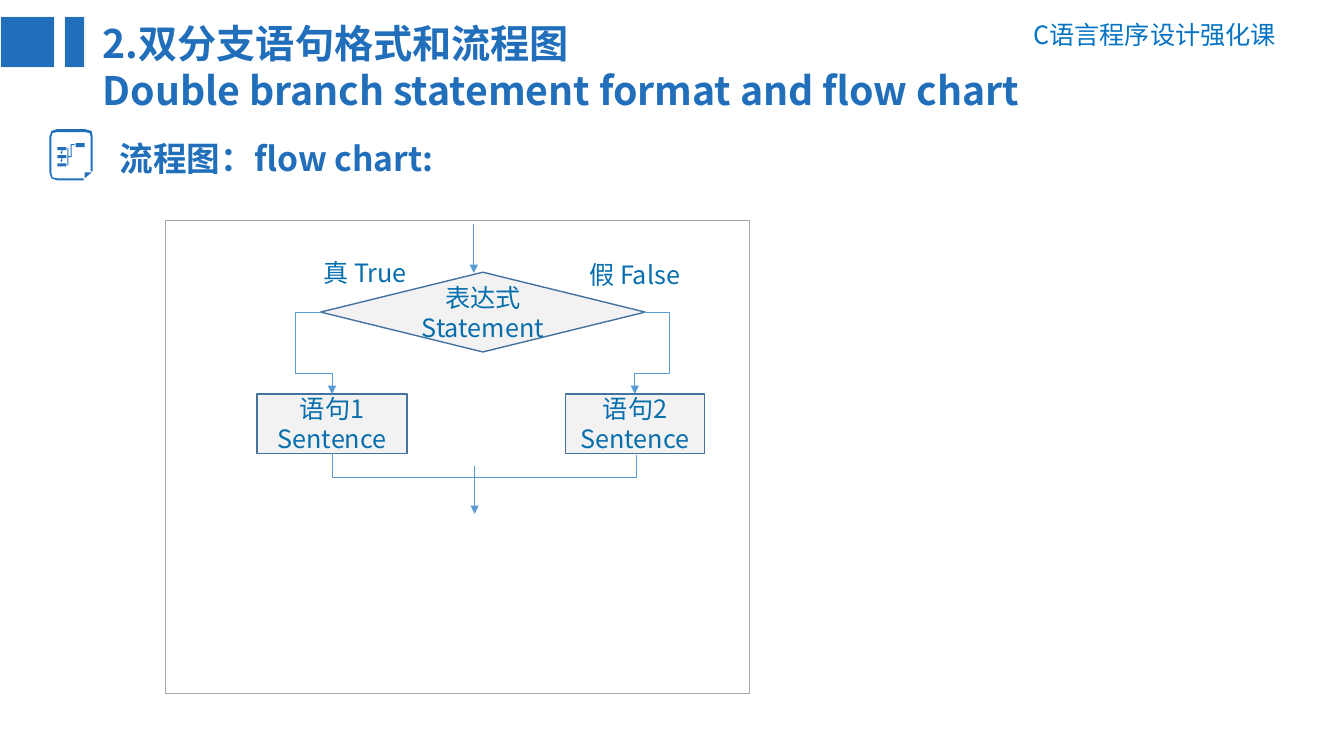
from lxml import etree
from pptx import Presentation
from pptx import util as u
from pptx.dml.color import RGBColor
from pptx.enum import shapes, text
from pptx.oxml.ns import qn

BLUE = RGBColor(0x21, 0x6F, 0xBA)
COURSE_BLUE = RGBColor(0x05, 0x73, 0xC2)
LABEL_BLUE = RGBColor(0x07, 0x6E, 0xAD)
ARROW_BLUE = RGBColor(0x5B, 0x9B, 0xD5)
OUTLINE_BLUE = RGBColor(0x43, 0x73, 0x9E)
PALE = RGBColor(0xF2, 0xF2, 0xF2)
GREY = RGBColor(0xA6, 0xA6, 0xA6)
FONT = "Noto Sans CJK SC"
SHAPE = shapes.MSO_SHAPE
ALIGN = text.PP_ALIGN

# Closed outlines of the flow chart icon, in hundredths of an inch
ICON = [
    [(84, 171), (91, 171), (84, 177)],
    [(57, 162), (66, 162), (66, 165), (57, 165)],
    *[[(57, y), (66, y), (66, y + 3), (62, y + 3), (62, y + 5), (61, y + 7),
       (60, y + 5), (61, y + 5), (61, y + 3), (57, y + 3)] for y in (154, 146)],
    [(70, 143), (74, 143), (74, 144), (71, 144), (71, 156), (68, 156), (68, 164),
     (67, 164), (67, 147), (68, 147), (68, 155), (70, 155)],
    [(75, 142), (84, 142), (84, 146), (75, 146)],
    [(57, 128), (84, 128), (90.6, 129.8), (92, 136), (92, 170), (90, 170), (90, 136),
     (88.8, 131.7), (84, 131), (57, 131), (52, 131.7), (51, 136), (51, 171),
     (52, 176), (57, 177), (83, 177), (83, 179), (57, 179), (50.6, 177.4),
     (49, 171), (49, 136), (50.6, 129.8)],
]


class FlowSlide:
    def __init__(self, slide):
        self.shapes = slide.shapes

    def set_text(self, frame, lines, size, color, bold=False, align=ALIGN.LEFT, spacing=None):
        frame.word_wrap = True
        frame.text = "\n".join(lines)
        for paragraph in frame.paragraphs:
            paragraph.alignment = align
            paragraph.line_spacing = spacing
            font = paragraph.font
            font.size, font.bold, font.name = u.Pt(size), bold, FONT
            font.color.rgb = color
            for run in paragraph.runs:
                properties = run._r.get_or_add_rPr()
                etree.SubElement(properties, qn("a:ea"), typeface=FONT)

    def label(self, box, lines, size=18, color=LABEL_BLUE, **style):
        caption = self.shapes.add_textbox(*map(u.Cm, box))
        self.set_text(caption.text_frame, lines, size, color, **style)

    def paint(self, shape, fill, line, weight):
        shape.shadow.inherit = False
        if fill is None:
            shape.fill.background()
        else:
            shape.fill.solid()
            shape.fill.fore_color.rgb = fill
        if line is None:
            shape.line.fill.background()
        else:
            shape.line.color.rgb = line
            shape.line.width = u.Pt(weight)

    def block(self, kind, box, fill, line, weight=1):
        shape = self.shapes.add_shape(kind, *map(u.Cm, box))
        self.paint(shape, fill, line, weight)
        return shape

    def node(self, kind, box, lines):
        frame = self.block(kind, box, PALE, OUTLINE_BLUE).text_frame
        frame.vertical_anchor = text.MSO_ANCHOR.MIDDLE
        self.set_text(frame, lines, 18, LABEL_BLUE, align=ALIGN.CENTER)

    def icon(self, outlines):
        first, *others = outlines
        builder = self.shapes.build_freeform(*first[0], scale=u.Cm(2.54) / 100)
        builder.add_line_segments(first[1:], close=True)
        for outline in others:
            builder.move_to(*outline[0])
            builder.add_line_segments(outline[1:], close=True)
        self.paint(builder.convert_to_shape(), BLUE, None, 0)

    def arrow(self, start, end, kind=shapes.MSO_CONNECTOR.STRAIGHT, head=True):
        link = self.shapes.add_connector(kind, *map(u.Cm, start + end))
        link.line.color.rgb = ARROW_BLUE
        link.line.width = u.Pt(0.5)
        if head:
            outline = link._element.spPr.find(qn("a:ln"))
            etree.SubElement(outline, qn("a:tailEnd"), type="triangle")
        etree.SubElement(link._element.spPr, qn("a:effectLst"))
        return link

    def bend(self, link, preset, *shares):
        """Set the elbow preset and its turning points as shares of the link's size."""
        geometry = link._element.spPr.find(qn("a:prstGeom"))
        geometry.set("prst", preset)
        guides = geometry.find(qn("a:avLst"))
        for number, share in enumerate(shares, 1):
            etree.SubElement(guides, qn("a:gd"), name=f"adj{number}",
                             fmla=f"val {round(share * 100000)}")

    def branch(self, start, end, outward, turn_y):
        """Leave sideways by outward, then turn back at turn_y and drop to end."""
        link = self.arrow(start, end, shapes.MSO_CONNECTOR.ELBOW)
        self.bend(link, "bentConnector4", -outward / abs(end[0] - start[0]),
                  (turn_y - start[1]) / (end[1] - start[1]))

    def merge(self, start, end, bottom):
        """Join two points by a U-shaped link that reaches down to bottom."""
        link = self.arrow(start, end, shapes.MSO_CONNECTOR.ELBOW, head=False)
        span, rise = end[0] - start[0], end[1] - start[1]
        link.left = u.Cm((start[0] + end[0] - rise) / 2)
        link.top = u.Cm((start[1] + end[1] - span) / 2)
        link.width, link.height = u.Cm(rise), u.Cm(span)
        frame = link._element.spPr.find(qn("a:xfrm"))
        frame.set("rot", str(270 * 60000))
        frame.set("flipH", "1")
        self.bend(link, "bentConnector3", (bottom - start[1]) / rise)


def main():
    deck = Presentation()
    deck.slide_width, deck.slide_height = u.Cm(33.87), u.Cm(19.05)
    page = FlowSlide(deck.slides.add_slide(deck.slide_layouts[6]))

    page.label((24.79, 0.36, 7.62, 1.02), ["C语言程序设计强化课"],
               color=COURSE_BLUE, align=ALIGN.RIGHT)
    page.label((2.34, 0.36, 31.52, 3), ["2.双分支语句格式和流程图",
               "Double branch statement format and flow chart"], 28, BLUE, bold=True)
    for left, width in ((0, 1.37), (1.63, 0.51)):
        page.block(SHAPE.RECTANGLE, (left, 0.41, width, 1.3), BLUE, PALE)
    page.block(SHAPE.RECTANGLE, (4.17, 5.56, 14.73, 11.91), None, GREY, 0.75)
    page.label((2.77, 3.15, 12.78, 1.37), ["流程图：flow chart:"], 24, BLUE,
               bold=True, spacing=1.2)
    page.icon(ICON)

    page.arrow((11.94, 5.64), (11.94, 6.88))
    page.node(SHAPE.FLOWCHART_DECISION, (8.08, 6.86, 8.18, 2.01), ["表达式", "Statement"])
    page.label((7.9, 6.35, 3.15, 1.02), ["真 True"])
    page.label((14.6, 6.4, 3.15, 1.02), ["假 False"])
    for number, left, width in ((1, 6.48, 3.78), (2, 14.25, 3.51)):
        page.node(SHAPE.FLOWCHART_PROCESS, (left, 9.93, width, 1.5),
                  [f"语句{number}", "Sentence"])
    page.branch((8.08, 7.86), (8.37, 9.93), 0.64, 9.4)
    page.branch((16.24, 7.86), (16, 9.93), 0.64, 9.4)
    page.merge((8.38, 11.41), (16.03, 11.46), 12.04)
    page.arrow((11.96, 11.73), (11.96, 12.95))

    deck.save("out.pptx")


if __name__ == "__main__":
    main()
